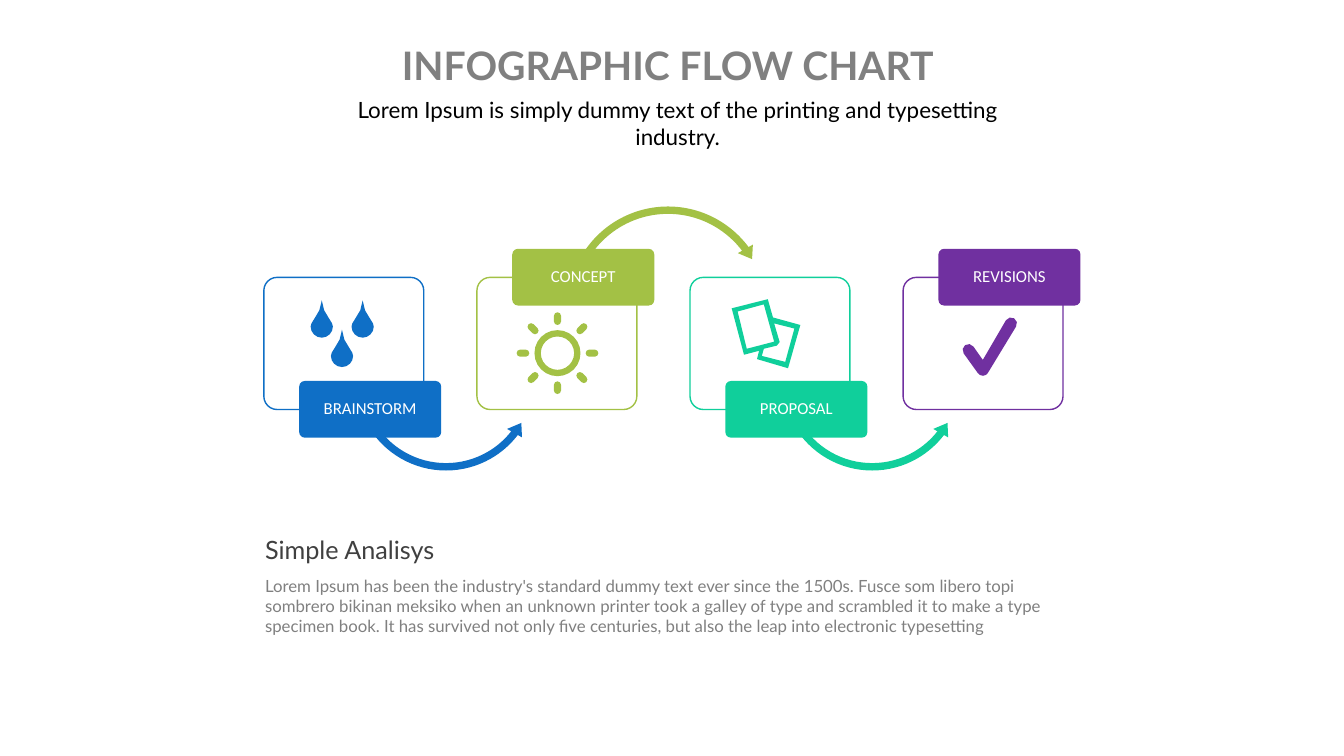
from math import cos, radians, sin

from pptx import Presentation
from pptx.dml.color import RGBColor
from pptx.enum.shapes import MSO_SHAPE
from pptx.enum.text import MSO_ANCHOR, PP_ALIGN
from pptx.util import Cm, Pt


def color(code):
    """Turn a hex string into a colour."""
    return RGBColor.from_string(code)


def arc(x, y, r, start, end, steps=4):
    """Return points along a circle, with angles in degrees."""
    turns = [radians(start + (end - start) * i / steps) for i in range(steps + 1)]
    return [(x + r * cos(t), y + r * sin(t)) for t in turns]


def drop(x, y):
    """Outline a water drop whose tip is at x, y."""
    half = [(.06, .25), (.18, .45), (.26, .58)]
    bowl = arc(0, .66, .28, 0, 180, 8)
    other = [(-dx, dy) for dx, dy in reversed(half)]
    return [(x + dx, y + dy) for dx, dy in [(0, 0)] + half + bowl + other]


def ray(x, y, angle):
    """Outline one rounded sun ray around the centre x, y."""
    t = radians(angle)
    near, far = [(x + r * cos(t), y + r * sin(t)) for r in (.8, .94)]
    return (arc(*far, .09, angle - 90, angle + 90)
            + arc(*near, .09, angle + 90, angle + 270))


def sun(x, y):
    """Outline a ring with eight rays."""
    rings = [arc(x, y, r, 0, 360, 24)[:-1] for r in (.58, .42)]
    return rings + [ray(x, y, angle) for angle in range(0, 360, 45)]


DROPS = [drop(8.11, 7.57), drop(9.14, 7.57), drop(8.62, 8.31)]
SUN = sun(14.05, 8.9)
PAGES = [
    [(20.17, 8.19), (19.48, 8), (19.35, 7.54), (18.44, 7.77),
     (18.75, 8.94), (19.13, 8.84), (19.08, 9.05), (19.86, 9.28)],
    [(18.59, 7.85), (19.25, 7.67), (19.51, 8.61), (18.82, 8.79)],
    [(19.79, 9.12), (19.2, 8.97), (19.25, 8.79), (19.58, 8.71),
     (19.65, 8.62), (19.51, 8.15), (20.02, 8.28)],
]
CHECK = [arc(25.48, 8.15, .15, -148, 32) + arc(24.77, 9.32, .15, 32, 145)
         + arc(24.41, 8.82, .15, 145, 325) + [(24.77, 9.07)]]

LOW = (MSO_SHAPE.LEFT_CIRCULAR_ARROW, 2.19, 7.18, 4.8,
       (.039, 4.867, 22.622, 90.245, .045))
HIGH = (MSO_SHAPE.CIRCULAR_ARROW, 2.16, 5.08, 5.31,
        (.035, 4.356, 193.889, 125.755, .041))
STEPS = [
    ("BRAINSTORM", "0F6FC6", 9.6, LOW, DROPS),
    ("CONCEPT", "A3C145", 6.27, HIGH, SUN),
    ("PROPOSAL", "10CF9B", 9.6, LOW, PAGES),
    ("REVISIONS", "7030A0", 6.27, None, CHECK),
]


class Deck:
    """Hold the font and the current slide."""

    font = "Lato"

    def __init__(self):
        """Start a wide deck with one titled slide."""
        self.show = Presentation()
        self.show.slide_width, self.show.slide_height = Cm(33.87), Cm(19.05)
        self.slide = self.show.slides.add_slide(self.show.slide_layouts[5])

    def style(self, para, text, size, code, font=None, align=PP_ALIGN.LEFT):
        """Fill and format one paragraph."""
        para.text, para.alignment = text, align
        para.font.size, para.font.name = Pt(size), font or self.font
        para.font.color.rgb = color(code)

    def title(self, text, x, y, w, h):
        """Place the title."""
        box = self.slide.shapes.title
        box.left, box.top, box.width, box.height = Cm(x), Cm(y), Cm(w), Cm(h)
        frame = box.text_frame
        frame.vertical_anchor = MSO_ANCHOR.MIDDLE
        self.style(frame.paragraphs[0], text, 28, "808080", align=PP_ALIGN.CENTER)
        frame.paragraphs[0].font.bold = True

    def text(self, x, y, w, h):
        """Add a wrapping text box and return its frame."""
        box = self.slide.shapes.add_textbox(Cm(x), Cm(y), Cm(w), Cm(h))
        box.text_frame.word_wrap = True
        return box.text_frame

    def paint(self, shape, fill=None, line=None):
        """Set the fill and line of a shape."""
        shape.shadow.inherit = False
        if fill:
            shape.fill.solid()
            shape.fill.fore_color.rgb = color(fill)
        else:
            shape.fill.background()
        if line:
            shape.line.color.rgb, shape.line.width = color(line), Pt(1)
        else:
            shape.line.fill.background()

    def shape(self, kind, x, y, w, h, bends, fill=None, line=None):
        """Add a preset shape with its adjustments."""
        item = self.slide.shapes.add_shape(kind, Cm(x), Cm(y), Cm(w), Cm(h))
        for i, bend in enumerate(bends):
            item.adjustments[i] = bend
        self.paint(item, fill, line)
        return item

    def tag(self, text, x, y, code):
        """Add a filled label."""
        item = self.shape(MSO_SHAPE.ROUNDED_RECTANGLE, x, y, 3.58, 1.43, [.1], code)
        frame = item.text_frame
        frame.margin_left = frame.margin_right = Cm(.1)
        frame.margin_top = frame.margin_bottom = Cm(.1)
        frame.vertical_anchor = MSO_ANCHOR.MIDDLE
        self.style(frame.paragraphs[0], text, 12, "FFFFFF", "Calibri", PP_ALIGN.CENTER)
        frame.paragraphs[0].line_spacing = .9

    def icon(self, loops, code):
        """Draw closed outlines as one filled shape."""
        loops = [[(Cm(x), Cm(y)) for x, y in loop] for loop in loops]
        pen = self.slide.shapes.build_freeform(*loops[0][0])
        for i, loop in enumerate(loops):
            if i:
                pen.move_to(*loop[0])
            pen.add_line_segments(loop[1:], close=True)
        self.paint(pen.convert_to_shape(), code)


def main():
    """Build the flow chart slide."""
    deck = Deck()
    deck.title("INFOGRAPHIC FLOW CHART", 6.78, 1.02, 20.09, 1.24)
    lead = deck.text(7.77, 2.31, 18.62, .94)
    deck.style(lead.paragraphs[0], "Lorem Ipsum is simply dummy text of the printing "
               "and typesetting industry.", 16, "000000", align=PP_ALIGN.CENTER)

    for i, (name, code, top, arrow, icon) in enumerate(STEPS):
        x = 6.65 + 5.37 * i
        deck.shape(MSO_SHAPE.ROUNDED_RECTANGLE, x, 6.99, 4.03, 3.33, [.1], line=code)
        if arrow:
            kind, shift, y, size, bends = arrow
            deck.shape(kind, x + shift, y, size, size, bends, code)
        deck.tag(name, x + .89, top, code)
        deck.icon(icon, code)

    body = deck.text(6.43, 13.34, 20.88, 3.02)
    head, note = body.paragraphs[0], body.add_paragraph()
    deck.style(head, "Simple Analisys", 18, "404040")
    deck.style(note, "Lorem Ipsum has been the industry's standard dummy text ever "
               "since the 1500s. Fusce som libero topi sombrero bikinan meksiko when "
               "an unknown printer took a galley of type and scrambled it to make a "
               "type specimen book. It has survived not only five centuries, but also "
               "the leap into electronic typesetting", 12, "808080")
    note.space_before = Pt(2)
    head.space_after = note.space_after = Pt(6)
    deck.show.save("out.pptx")


if __name__ == "__main__":
    main()
